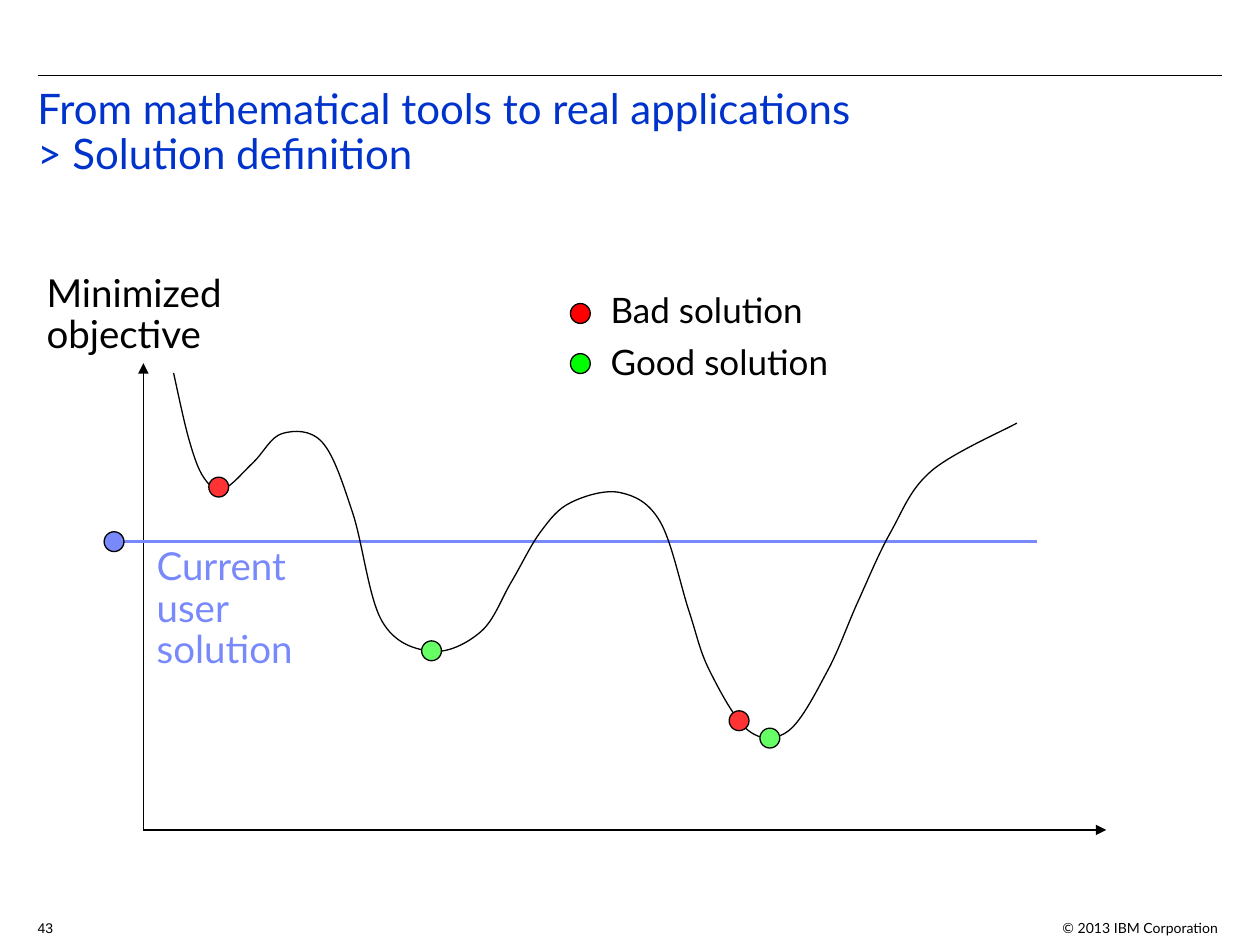
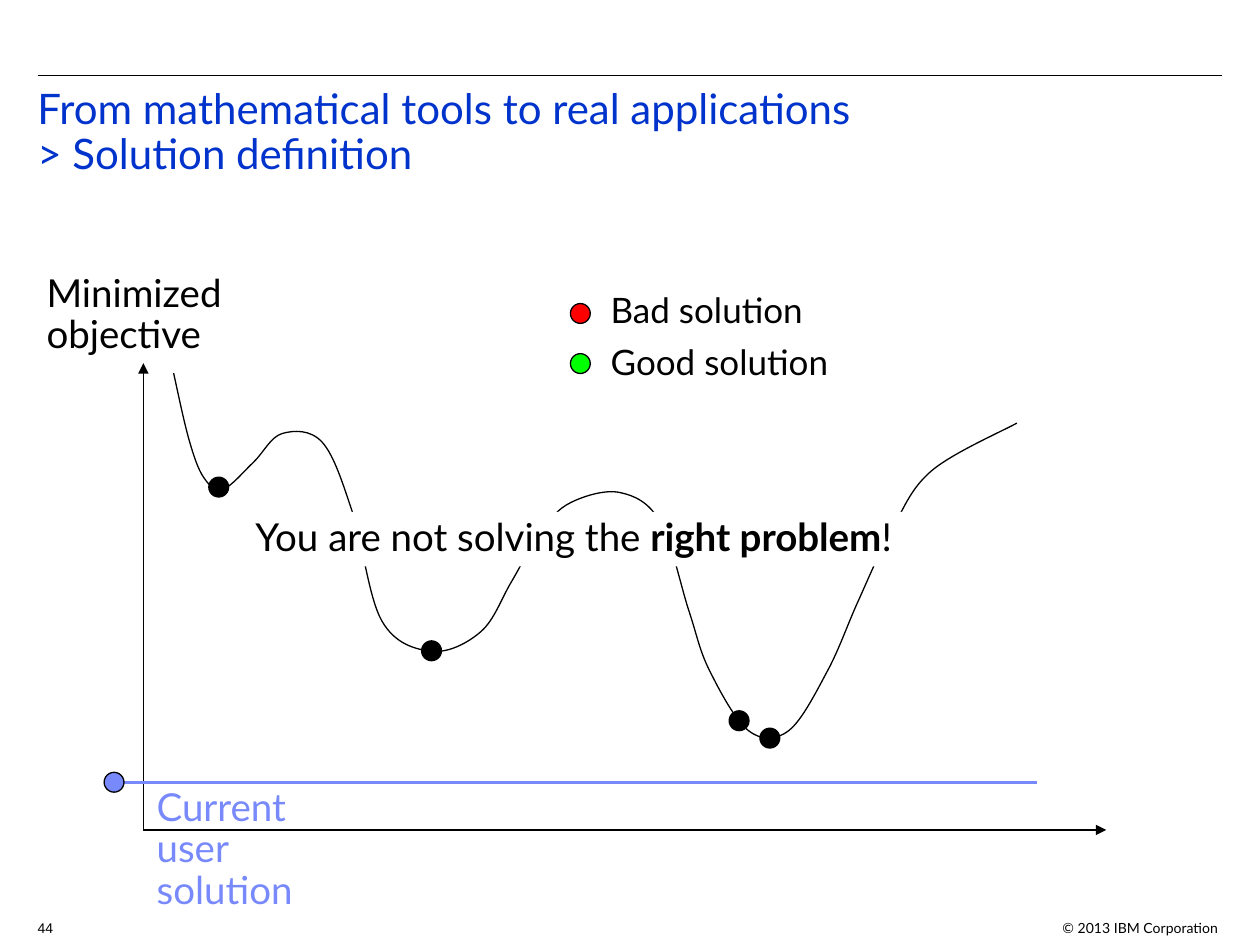
from lxml import etree
from pptx import Presentation
from pptx import util as u
from pptx.dml.color import RGBColor
from pptx.enum import shapes, text
from pptx.oxml.ns import qn

# ---- Content ----
COLORS = {"black": "000000", "white": "FFFFFF", "title": "0033CC", "user": "7889FB",
          "bad": "FF3333", "good": "66FF66", "legend_bad": "FF0000", "legend_good": "00FF00"}
TITLE = [["From mathematical tools to real applications", "\v", "> Solution definition"]]
COPYRIGHT = [["© 2013 IBM Corporation"]]
AXIS_LABEL = [["Minimized"], ["objective"]]
USER_LABEL = [["Current"], ["user"], ["solution"]]
LEGEND = [("Bad solution", "legend_bad", 4.67), ("Good solution", "legend_good", 5.18)]
MESSAGE = [["You are not solving the ", ("right problem",), "!"]]  # a tuple is bold

SLIDES = [
    {"number": 43, "user_y": 10.92, "dots": ["bad", "good", "bad", "good"], "message": None},
    {"number": 44, "user_y": 15.77, "dots": ["black"] * 4, "message": MESSAGE},
]

# Geometry in centimetres
ORIGIN, X_END, Y_END = (2.89, 16.73), 22.3, 7.32
DOT_SIZE = 0.4
SOLUTIONS = [(4.41, 9.82), (8.7, 13.12), (14.9, 14.53), (15.52, 14.88)]
CURVE_KNOTS = [
    (3.5, 7.52), (3.81, 8.86), (4.11, 9.63), (4.5, 9.86), (5.11, 9.32),
    (5.69, 8.74), (6.5, 8.92), (7.11, 10.34), (7.7, 12.52), (8.71, 13.13),
    (9.7, 12.73), (10.31, 11.73), (10.9, 10.72), (11.51, 10.13), (12.5, 9.93),
    (13.31, 10.52), (13.89, 12.32), (14.3, 13.51), (15.09, 14.73), (15.9, 14.73),
    (16.69, 13.51), (17.3, 12.12), (17.96, 10.72), (18.77, 9.5), (20.5, 8.53),
]


# ---- Helpers ----
def rgb(name):
    return RGBColor.from_string(COLORS[name])


def write(sp, paragraphs, size=22, color="black", font="Lato", spacing=0.9,
          align=text.PP_ALIGN.LEFT):
    tf = sp.text_frame
    tf.word_wrap = True
    tf.auto_size = text.MSO_AUTO_SIZE.NONE
    tf.vertical_anchor = text.MSO_ANCHOR.TOP
    for i, runs in enumerate(paragraphs):
        p = tf.paragraphs[0] if i == 0 else tf.add_paragraph()
        p.alignment, p.line_spacing = align, spacing
        p.space_before = u.Pt(0)
        for part in runs:
            if part == "\v":
                p.add_line_break()
                continue
            r = p.add_run()
            r.text = part[0] if isinstance(part, tuple) else part
            r.font.bold = isinstance(part, tuple)
            r.font.name, r.font.size = font, u.Pt(size)
            r.font.color.rgb = rgb(color)


def add_text(s, box, paragraphs, **fmt):
    sp = s.shapes.add_textbox(*map(u.Cm, box))
    write(sp, paragraphs, **fmt)
    return sp


def set_line(sp, color="black", width=0.75):
    sp.line.color.rgb = rgb(color)
    sp.line.width = u.Pt(width)


def add_line(s, start, end, color="black", width=0.75, arrow=False):
    line = s.shapes.add_connector(shapes.MSO_CONNECTOR.STRAIGHT,
                                  *map(u.Cm, (*start, *end)))
    set_line(line, color, width)
    if arrow:
        etree.SubElement(line._element.spPr.find(qn("a:ln")), qn("a:tailEnd"), type="triangle")
    etree.SubElement(line._element.spPr, qn("a:effectLst"))
    return line


def add_dot(s, center, color):
    x, y = (c - DOT_SIZE / 2 for c in center)
    sp = s.shapes.add_shape(shapes.MSO_SHAPE.OVAL, *map(u.Cm, (x, y, DOT_SIZE, DOT_SIZE)))
    sp.shadow.inherit = False
    sp.fill.solid()
    sp.fill.fore_color.rgb = rgb(color)
    set_line(sp)


def bezier_segments(knots):
    """Two control points and the end of each smooth segment through the knots."""
    padded = [knots[0], *knots, knots[-1]]
    for a, b, c, d in zip(padded, padded[1:], padded[2:], padded[3:]):
        yield (tuple(q + (r - p) / 6 for p, q, r in zip(a, b, c)),
               tuple(q - (r - p) / 6 for p, q, r in zip(b, c, d)), c)


# ---- Slide parts ----
def add_shared_frame(layout, s):
    """Put the top rule and the copyright line on the layout."""
    for sp in list(layout.placeholders):
        if sp.placeholder_format.type != shapes.PP_PLACEHOLDER.TITLE:
            sp._element.getparent().remove(sp._element)
    rule = add_line(s, (0.76, 1.52), (24.64, 1.52))
    notice = add_text(s, (21, 18.42, 3.81, 0.51), COPYRIGHT, size=8, spacing=1.0,
                      align=text.PP_ALIGN.RIGHT)
    for sp in (rule, notice):
        layout.shapes._spTree.append(sp._element)


def add_title(s):
    title = s.shapes.title
    title.left, title.top, title.width, title.height = map(u.Cm, (0.5, 1.65, 24.13, 3.07))
    write(title, TITLE, size=24, color="title")


def add_objective_curve(s):
    knots = [(u.Cm(x), u.Cm(y)) for x, y in CURVE_KNOTS]
    builder = s.shapes.build_freeform(*knots[0])
    builder.add_line_segments(knots[1:], close=False)
    curve = builder.convert_to_shape()
    # Turn each straight segment into a Bézier segment
    straight = list(curve._element.iter(qn("a:lnTo")))
    for segment, points in zip(straight, bezier_segments(knots)):
        bezier = etree.Element(qn("a:cubicBezTo"))
        for x, y in points:
            etree.SubElement(bezier, qn("a:pt"), x=str(round(x - curve.left)),
                             y=str(round(y - curve.top)))
        segment.getparent().replace(segment, bezier)
    curve.shadow.inherit = False
    curve.fill.background()
    set_line(curve)


def add_legend(s):
    group = s.shapes.add_group_shape()
    for i, (_, color, _) in enumerate(LEGEND):
        add_dot(group, (11.7, 6.32 + 1.01 * i), color)
    for i, (label, _, width) in enumerate(LEGEND):
        add_text(group, (12.06, 5.79 + 1.04 * i, width, 1.02), [[label]], size=20)


def add_plot(s, user_y, dot_colors):
    add_line(s, ORIGIN, (X_END, ORIGIN[1]), arrow=True)
    add_line(s, ORIGIN, (ORIGIN[0], Y_END), arrow=True)
    add_line(s, (2.49, user_y), (20.9, user_y), color="user", width=1.5)
    add_objective_curve(s)
    for center, color in zip(SOLUTIONS, dot_colors):
        add_dot(s, center, color)
    add_text(s, (2.91, user_y - 0.01, 3.45, 2.77), USER_LABEL, color="user")
    add_dot(s, (2.3, user_y), "user")
    add_text(s, (0.69, 5.4, 4.5, 1.93), AXIS_LABEL)


def main():
    prs = Presentation()
    prs.slide_width, prs.slide_height = u.Cm(25.4), u.Cm(19.05)
    layout = prs.slide_layouts[5]
    for i, content in enumerate(SLIDES):
        s = prs.slides.add_slide(layout)
        if i == 0:
            add_shared_frame(layout, s)
        add_title(s)
        add_plot(s, content["user_y"], content["dots"])
        add_legend(s)
        if content["message"]:
            band = add_text(s, (4.9, 10.32, 14.71, 1.1), content["message"])
            band.fill.solid()
            band.fill.fore_color.rgb = rgb("white")
        add_text(s, (0.51, 18.42, 1.02, 0.58), [[str(content["number"])]],
                 size=8, font="Arial", spacing=1.0)
    prs.save("out.pptx")


if __name__ == "__main__":
    main()
